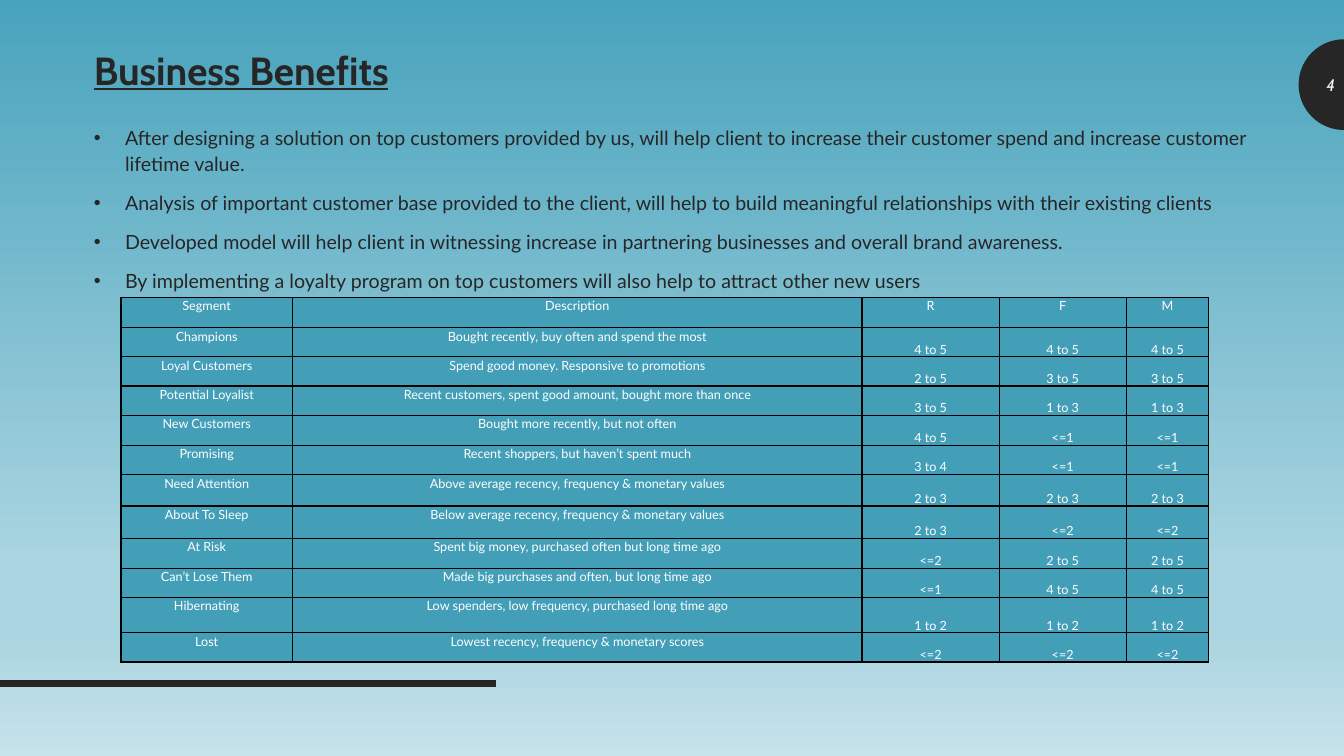
from dataclasses import dataclass
from math import cos, pi, sin

from lxml.etree import SubElement
from pptx import Presentation
from pptx.dml.color import RGBColor
from pptx.enum.shapes import MSO_CONNECTOR as Connector
from pptx.enum.text import MSO_ANCHOR as Anchor, MSO_AUTO_SIZE as AutoSize, PP_ALIGN as Align
from pptx.oxml.ns import qn
from pptx.util import Inches, Pt


@dataclass(frozen=True)
class Theme:
    heading_font: str = "Cabin"
    body_font: str = "Lato"
    dark: str = "262626"
    pale: str = "F5F5F5"
    white: str = "FFFFFF"
    border: str = "000000"
    cell: str = "439EB7"
    sky: tuple = ((0, "48A3BC"), (74, "A9D4E0"), (83, "A9D4E0"), (100, "C6E2EA"))
    title_size: int = 28
    body_size: int = 14
    number_size: int = 12
    table_size: int = 9


BENEFITS = [
    "After designing a solution on top customers provided by us, will help client to increase their customer spend and increase customer lifetime value.",
    "Analysis of important customer base provided to the client, will help to build meaningful relationships with their existing clients",
    "Developed model will help client in witnessing increase in partnering businesses and overall brand awareness.",
    "By implementing a loyalty program on top customers will also help to attract other new users",
]
SEGMENTS = [
    ("Segment", "Description", "R", "F", "M"),
    ("Champions", "Bought recently, buy often and spend the most", "4 to 5", "4 to 5", "4 to 5"),
    ("Loyal Customers", "Spend good money. Responsive to promotions", "2 to 5", "3 to 5", "3 to 5"),
    ("Potential Loyalist", "Recent customers, spent good amount, bought more than once", "3 to 5", "1 to 3", "1 to 3"),
    ("New Customers", "Bought more recently, but not often", "4 to 5", "<=1", "<=1"),
    ("Promising", "Recent shoppers, but haven’t spent much", "3 to 4", "<=1", "<=1"),
    ("Need Attention", "Above average recency, frequency & monetary values", "2 to 3", "2 to 3", "2 to 3"),
    ("About To Sleep", "Below average recency, frequency & monetary values", "2 to 3", "<=2", "<=2"),
    ("At Risk", "Spent big money, purchased often but long time ago", "<=2", "2 to 5", "2 to 5"),
    ("Can’t Lose Them", "Made big purchases and often, but long time ago", "<=1", "4 to 5", "4 to 5"),
    ("Hibernating", "Low spenders, low frequency, purchased long time ago", "1 to 2", "1 to 2", "1 to 2"),
    ("Lost", "Lowest recency, frequency & monetary scores", "<=2", "<=2", "<=2"),
]
COLUMN_WIDTHS = [1.7, 5.65, 1.36, 1.26, 0.82]
ROW_HEIGHTS = [0.3, 0.29, 0.29, 0.29, 0.3, 0.29, 0.31, 0.32, 0.3, 0.29, 0.35, 0.29]


class SlideBuilder:
    def __init__(self, slide, theme):
        self.slide = slide
        self.theme = theme

    def style(self, para, size, color, font, align=Align.LEFT):
        para.alignment = align
        para.font.size = Pt(size)
        para.font.name = font
        para.font.color.rgb = RGBColor.from_string(color)

    def place(self, shape, left, top, width, height):
        shape.left, shape.top = Inches(left), Inches(top)
        shape.width, shape.height = Inches(width), Inches(height)
        shape.text_frame.word_wrap = True
        shape.text_frame.auto_size = AutoSize.NONE

    def background(self):
        fill = self.slide.background.fill
        fill.gradient()
        fill.gradient_angle = 270
        stops = self.slide.element.find(".//" + qn("a:gsLst"))
        stops.clear()
        for percent, color in self.theme.sky:
            stop = SubElement(stops, qn("a:gs"), pos=str(percent * 1000))
            SubElement(stop, qn("a:srgbClr"), val=color)

    def half_disc(self, x, y, radius, steps=36):
        angles = [pi / 2 + pi * step / steps for step in range(steps + 1)]
        points = [(Inches(x + radius * cos(a)), Inches(y + radius * sin(a))) for a in angles]
        builder = self.slide.shapes.build_freeform(*points[0])
        builder.add_line_segments(points[1:], close=True)
        disc = builder.convert_to_shape()
        disc.shadow.inherit = False
        disc.fill.solid()
        disc.fill.fore_color.rgb = RGBColor.from_string(self.theme.dark)
        disc.line.fill.background()

    def rule(self, left, right, y, weight):
        line = self.slide.shapes.add_connector(
            Connector.STRAIGHT, Inches(left), Inches(y), Inches(right), Inches(y))
        line.line.width = Pt(weight)
        line.line.color.rgb = RGBColor.from_string(self.theme.dark)
        SubElement(line.element.spPr, qn("a:effectLst"))

    def title(self, text, *bounds):
        title = self.slide.shapes.title
        self.place(title, *bounds)
        title.text_frame.vertical_anchor = Anchor.MIDDLE
        para = title.text_frame.paragraphs[0]
        para.text = text
        para.line_spacing = 0.9
        self.style(para, self.theme.title_size, self.theme.dark, self.theme.heading_font)
        para.font.bold = para.font.underline = True

    def page_number(self, text, *bounds):
        box = self.slide.shapes.add_textbox(0, 0, 0, 0)
        self.place(box, *bounds)
        box.text_frame.vertical_anchor = Anchor.MIDDLE
        para = box.text_frame.paragraphs[0]
        para.text = text
        self.style(para, self.theme.number_size, self.theme.pale, self.theme.heading_font, Align.RIGHT)
        para.font.italic = True

    def bullets(self, items, *bounds):
        body = self.slide.placeholders[1]
        self.place(body, *bounds)
        frame = body.text_frame
        frame.vertical_anchor = Anchor.TOP
        frame.text = "\n".join(items)
        for para in frame.paragraphs:
            para.line_spacing = 1.12
            para.space_before = Pt(9)
            properties = para._p.get_or_add_pPr()
            properties.set("marL", str(Inches(0.31)))
            properties.set("indent", str(Inches(-0.31)))
            SubElement(properties, qn("a:buFont"), typeface="Arial")
            SubElement(properties, qn("a:buChar"), char="•")
            self.style(para, self.theme.body_size, self.theme.dark, self.theme.body_font)

    def table(self, rows, widths, heights, left, top):
        frame = self.slide.shapes.add_table(
            len(rows), len(widths), Inches(left), Inches(top),
            Inches(sum(widths)), Inches(sum(heights)))
        table = frame.table
        table.first_row = table.horz_banding = False
        for column, width in zip(table.columns, widths):
            column.width = Inches(width)
        for row, height in zip(table.rows, heights):
            row.height = Inches(height)
        for r, values in enumerate(rows):
            for c, text in enumerate(values):
                anchor = Anchor.BOTTOM if r > 0 and c > 1 else Anchor.TOP
                self.cell(table.cell(r, c), text, anchor)

    def cell(self, cell, text, anchor):
        properties = cell._tc.get_or_add_tcPr()
        for side in ("a:lnL", "a:lnR", "a:lnT", "a:lnB"):
            border = SubElement(properties, qn(side), w=str(Pt(1)))
            SubElement(SubElement(border, qn("a:solidFill")), qn("a:srgbClr"), val=self.theme.border)
        cell.fill.solid()
        cell.fill.fore_color.rgb = RGBColor.from_string(self.theme.cell)
        cell.margin_left = cell.margin_right = cell.margin_top = Inches(0.01)
        cell.margin_bottom = 0
        cell.vertical_anchor = anchor
        para = cell.text_frame.paragraphs[0]
        para.text = text
        self.style(para, self.theme.table_size, self.theme.white, self.theme.body_font, Align.CENTER)


def main():
    deck = Presentation()
    deck.slide_width, deck.slide_height = Inches(13.33), Inches(7.5)
    page = SlideBuilder(deck.slides.add_slide(deck.slide_layouts[1]), Theme())
    page.background()
    page.half_disc(13.33, 0.84, 0.45)
    page.rule(0, 4.92, 6.78, 4.5)
    page.title("Business Benefits", 0.83, 0.39, 11.67, 0.66)
    page.page_number("4", 12.89, 0.64, 0.45, 0.4)
    page.bullets(BENEFITS, 0.83, 1.17, 11.67, 5.5)
    page.table(SEGMENTS, COLUMN_WIDTHS, ROW_HEIGHTS, 1.2, 2.95)
    deck.save("out.pptx")


if __name__ == "__main__":
    main()
